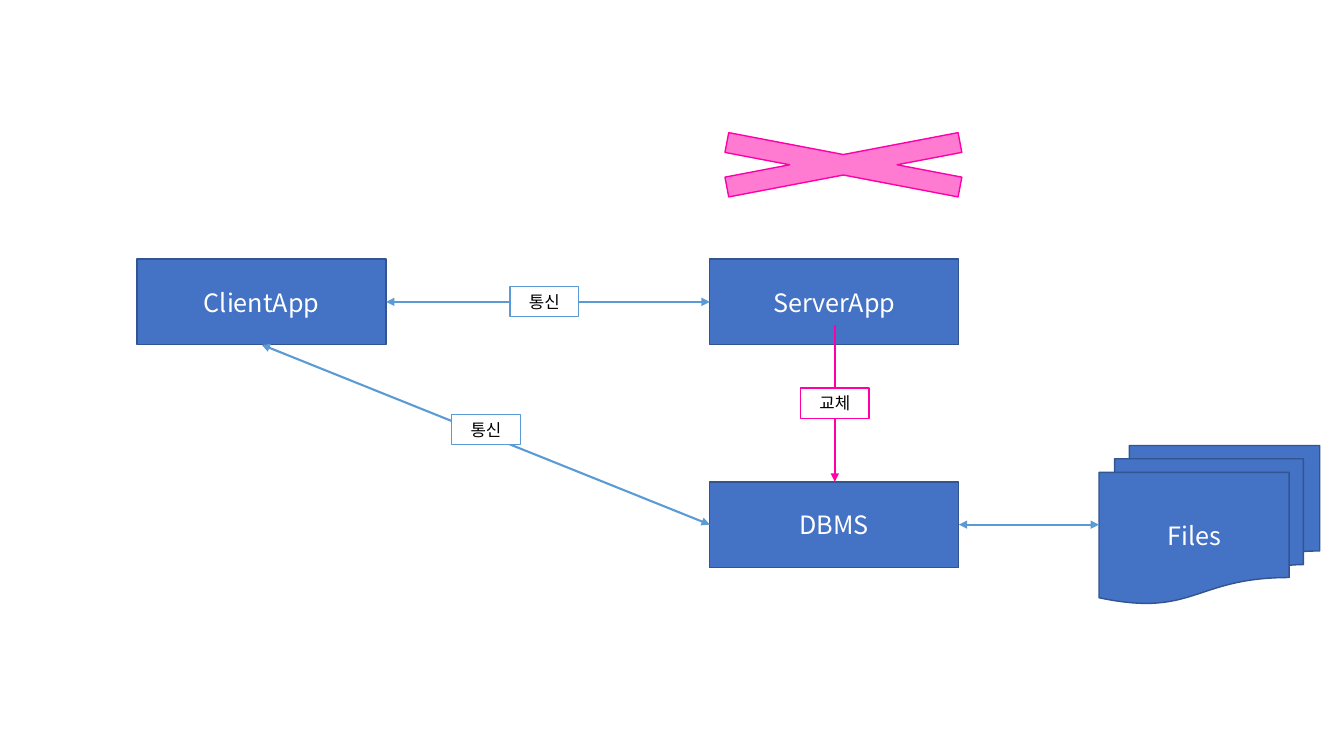
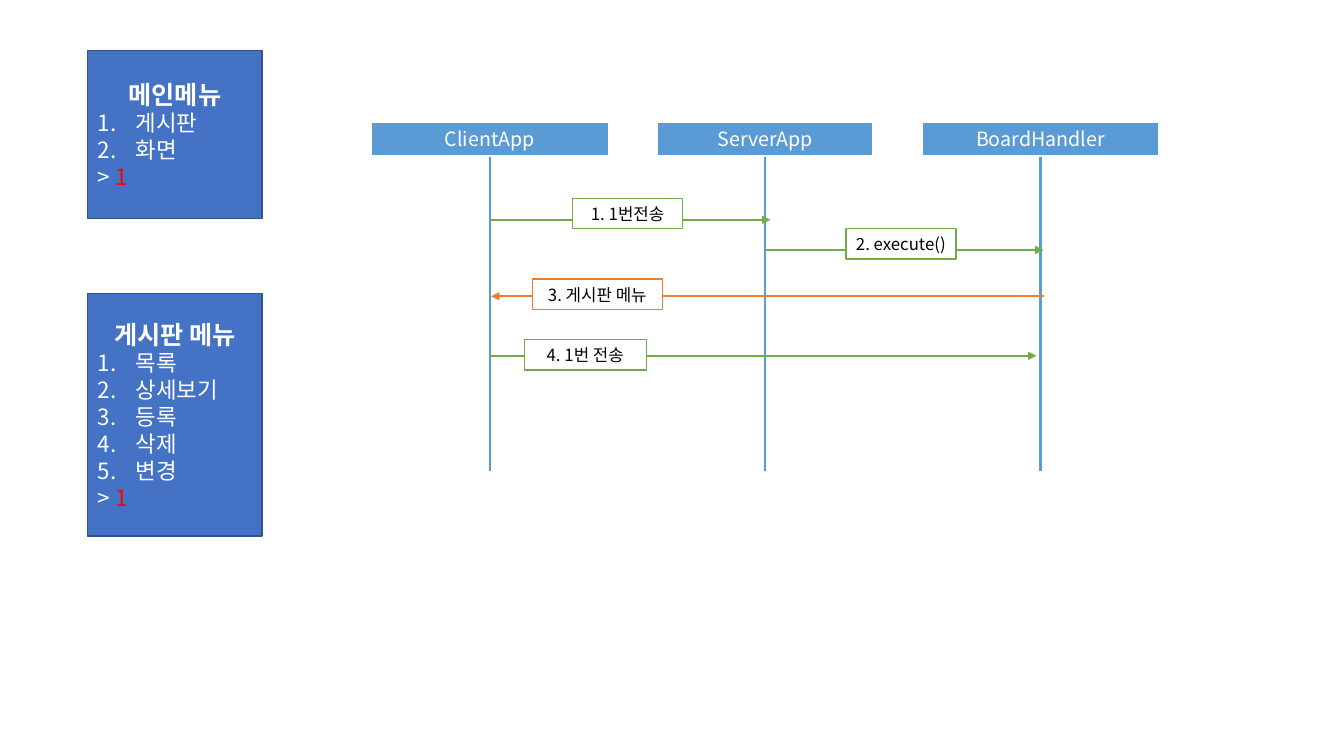
from lxml.etree import SubElement
from pptx import Presentation
from pptx.dml.color import RGBColor
from pptx.enum.shapes import MSO_CONNECTOR, MSO_SHAPE
from pptx.enum.text import PP_ALIGN
from pptx.oxml.ns import qn
from pptx.util import Inches, Pt

FONT = "Noto Sans CJK KR"
COLORS = {
    "white": "FFFFFF", "black": "000000", "red": "FF0000",
    "node": "4472C4", "edge": "325491", "sky": "5B9BD5",
    "pink": "FF00A8", "green": "70AD47", "orange": "ED7D31",
}
LEFT, BOTTOM, RIGHT = 1, 2, 3  # connection sites of a box
LABEL_HEIGHT = 0.3

# Architecture slide: name -> shape, left, top, width, height
NODES = {
    "ClientApp": (MSO_SHAPE.RECTANGLE, 1.36, 2.57, 2.47, 0.85),
    "ServerApp": (MSO_SHAPE.RECTANGLE, 7.04, 2.57, 2.47, 0.85),
    "DBMS": (MSO_SHAPE.RECTANGLE, 7.04, 4.78, 2.47, 0.85),
    "Files": (MSO_SHAPE.FLOWCHART_MULTIDOCUMENT, 10.9, 4.42, 2.19, 1.57),
}
LINKS = [
    ("ServerApp", LEFT, "ClientApp", RIGHT),
    ("DBMS", RIGHT, "Files", LEFT),
    ("ClientApp", BOTTOM, "DBMS", LEFT),
]
LINK_LABELS = [
    ("통신", 5.06, 2.84, "sky"),
    ("통신", 4.48, 4.11, "sky"),
    ("교체", 7.94, 3.85, "pink"),
]
CROSS = (6.14, 1.21, 4.45, 0.85)
REPLACE_ARROW = (8.28, 3.22, 8.28, 4.78)

# Sequence slide
ACTORS = [("ClientApp", 2.36), ("ServerApp", 2.14), ("BoardHandler", 2.36)]
FIRST_LIFELINE, LIFELINE_GAP = 4.86, 2.73
HEADER_TOP, HEADER_HEIGHT, LIFELINE_END = 1.21, 0.34, 4.67
# text, start x, end x, y, colour, label left, label top, label width
MESSAGES = [
    ("1. 1번전송", 4.87, 7.64, 2.18, "green", 5.68, 1.97, 1.09),
    ("2. execute()", 7.59, 10.35, 2.48, "green", 8.39, 2.27, 1.09),
    ("3. 게시판 메뉴", 10.35, 4.87, 2.94, "orange", 5.28, 2.77, 1.29),
    ("4. 1번 전송", 4.86, 10.28, 3.53, "green", 5.2, 3.37, 1.21),
]
MENU_LEFT, MENU_WIDTH = 0.87, 1.73
# title, items, typed answer, top, height
MENUS = [
    ("메인메뉴", ["게시판", "화면"], "1", 0.5, 1.67),
    ("게시판 메뉴", ["목록", "상세보기", "등록", "삭제", "변경"], "1", 2.91, 2.41),
]


def color(name):
    return RGBColor.from_string(COLORS[name])


def format_paragraph(para, size, ink="white", align=PP_ALIGN.CENTER, bold=False):
    para.alignment = align
    para.font.size = Pt(size)
    para.font.bold = bold
    para.font.name = FONT
    para.font.color.rgb = color(ink)
    defaults = para._p.pPr.find(qn("a:defRPr"))
    SubElement(defaults, qn("a:ea")).set("typeface", FONT)


def add_box(page, area, fill, line, kind=MSO_SHAPE.RECTANGLE, weight=1):
    box = page.shapes.add_shape(kind, *map(Inches, area))
    box.shadow.inherit = False
    box.fill.solid()
    box.fill.fore_color.rgb = color(fill)
    box.line.color.rgb = color(line)
    box.line.width = Pt(weight)
    return box


def write(box, text, size, ink="white"):
    para = box.text_frame.paragraphs[0]
    para.text = text
    format_paragraph(para, size, ink)


def add_label(page, text, left, top, width, line):
    box = add_box(page, (left, top, width, LABEL_HEIGHT), "white", line)
    box.text_frame.word_wrap = False
    write(box, text, 12, "black")


def add_line(page, ends, ink, head=False, tail=False):
    line = page.shapes.add_connector(MSO_CONNECTOR.STRAIGHT, *map(Inches, ends))
    line.line.color.rgb = color(ink)
    line.line.width = Pt(1.5)
    outline = line.line._get_or_add_ln()
    for tag, wanted in (("a:headEnd", head), ("a:tailEnd", tail)):
        if wanted:
            SubElement(outline, qn(tag)).set("type", "triangle")
    SubElement(line._element.spPr, qn("a:effectLst"))
    return line


def number_paragraph(para):
    properties = para._p.get_or_add_pPr()
    properties.set("marL", str(Inches(0.38)))
    properties.set("indent", str(-Inches(0.38)))
    SubElement(properties, qn("a:buAutoNum")).set("type", "arabicPeriod")


def add_menu(page, title, items, answer, top, height):
    box = add_box(page, (MENU_LEFT, top, MENU_WIDTH, height), "node", "edge")
    frame = box.text_frame
    frame.word_wrap = True
    frame.text = title
    format_paragraph(frame.paragraphs[0], 18, bold=True)
    for item in items:
        para = frame.add_paragraph()
        para.text = item
        number_paragraph(para)
        format_paragraph(para, 16, align=PP_ALIGN.LEFT)
    prompt = frame.add_paragraph()
    prompt.add_run().text = "> "
    span = prompt.add_run()
    span.text = answer
    format_paragraph(prompt, 16, align=PP_ALIGN.LEFT)
    span.font.color.rgb = color("red")


def build_architecture(page):
    # Nodes and the links between them
    boxes = {}
    for name, (kind, *area) in NODES.items():
        boxes[name] = add_box(page, area, "node", "edge", kind)
        write(boxes[name], name, 18)
    for start, start_site, end, end_site in LINKS:
        link = add_line(page, (0, 0, 1, 1), "sky", head=True, tail=True)
        link.begin_connect(boxes[start], start_site)
        link.end_connect(boxes[end], end_site)

    # Cross and replacement arrow
    cross = add_box(page, CROSS, "pink", "pink", MSO_SHAPE.MATH_MULTIPLY)
    fill_color = cross._element.spPr.find(qn("a:solidFill"))[0]
    SubElement(fill_color, qn("a:alpha")).set("val", "52000")
    add_line(page, REPLACE_ARROW, "pink", tail=True)

    for text, left, top, line in LINK_LABELS:
        add_label(page, text, left, top, 0.68, line)


def build_sequence(page):
    # Actors with their lifelines
    for index, (name, width) in enumerate(ACTORS):
        x = FIRST_LIFELINE + index * LIFELINE_GAP
        add_line(page, (x, HEADER_TOP + HEADER_HEIGHT, x, LIFELINE_END), "sky")
        area = (x - width / 2, HEADER_TOP, width, HEADER_HEIGHT)
        write(add_box(page, area, "sky", "white", weight=1.5), name, 14)

    # Messages
    for text, start, end, y, ink, left, top, width in MESSAGES:
        add_line(page, (start, y, end, y), ink, tail=True)
        add_label(page, text, left, top, width, ink)

    for menu in MENUS:
        add_menu(page, *menu)


def main():
    deck = Presentation()
    deck.slide_width, deck.slide_height = Inches(13.33), Inches(7.5)
    for build in (build_architecture, build_sequence):
        build(deck.slides.add_slide(deck.slide_layouts[6]))
    deck.save("out.pptx")


if __name__ == "__main__":
    main()
